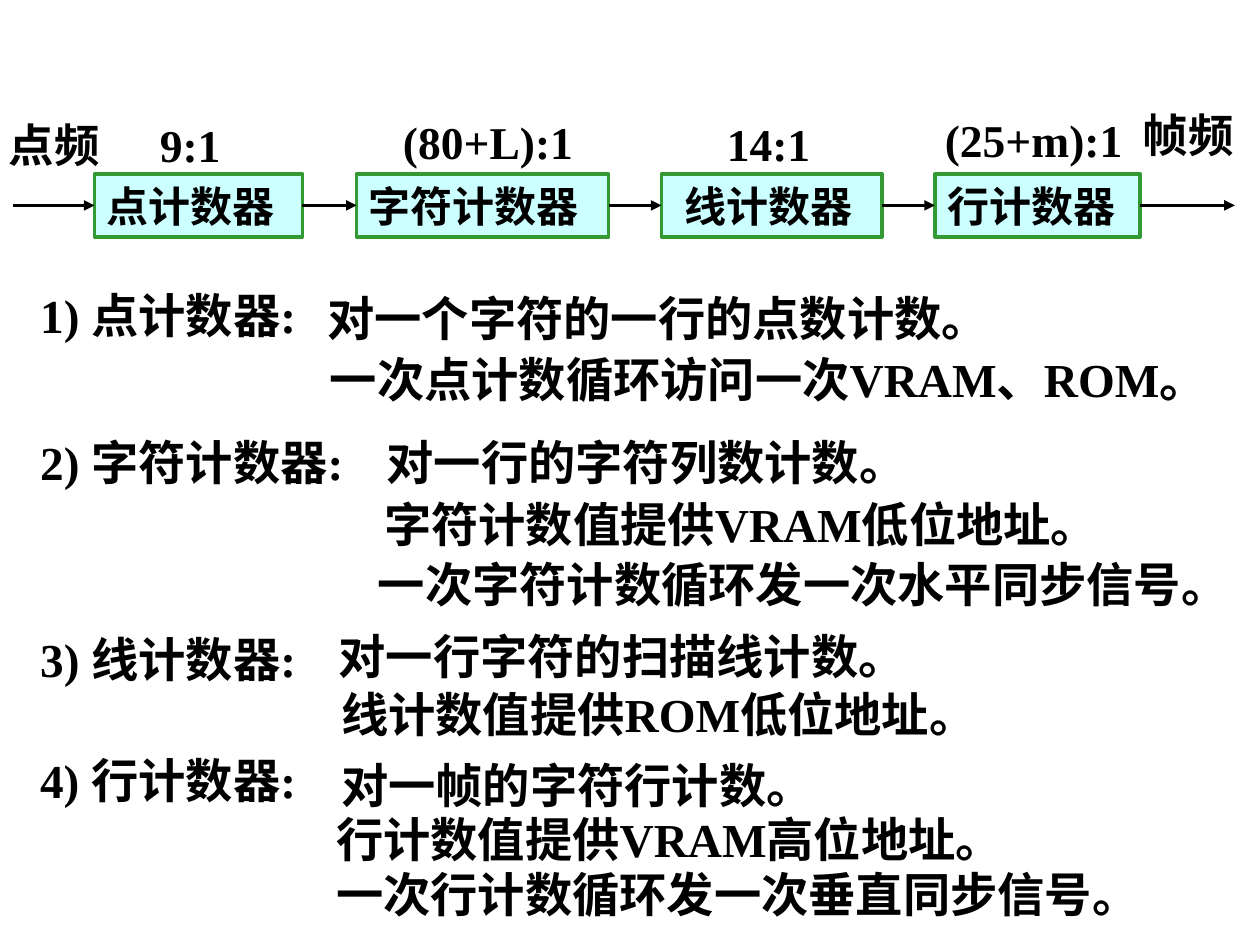
from dataclasses import dataclass

from lxml import etree
from pptx import Presentation
from pptx.dml.color import RGBColor as RGB
from pptx.enum.shapes import MSO_CONNECTOR as CONN, MSO_SHAPE as SHAPE
from pptx.enum.text import MSO_ANCHOR as ANCHOR, PP_ALIGN as ALIGN
from pptx.oxml.ns import qn
from pptx.util import Inches, Pt


@dataclass(frozen=True)
class Theme:
    ink: RGB = RGB(0, 0, 0)
    box_fill: RGB = RGB(0xCC, 0xFF, 0xFF)
    box_line: RGB = RGB(0x33, 0x99, 0x33)
    latin: str = "Times New Roman"
    cjk: str = "Noto Sans CJK SC"
    body: int = 27
    ratio: int = 26
    box: int = 24
    line: int = 2


T = Theme()


def write(sp, text, size=T.body, font=T.latin, indent=0.1):
    tf = sp.text_frame
    tf.word_wrap = True
    tf.vertical_anchor = ANCHOR.TOP
    tf.margin_left = Inches(indent)
    p = tf.paragraphs[0]
    p.alignment = ALIGN.LEFT
    r = p.add_run()
    r.text = text
    r.font.size, r.font.bold, r.font.name = Pt(size), True, font
    r.font.color.rgb = T.ink
    etree.SubElement(r.font._element, qn("a:ea"), typeface=T.cjk)


def arrow(x1, x2, y, start=None, end=None):
    c = s.shapes.add_connector(CONN.STRAIGHT, Inches(x1), Inches(y), Inches(x2), Inches(y))
    if start is not None:
        c.begin_connect(start, 3)
    if end is not None:
        c.end_connect(end, 1)
    c.line.color.rgb = T.ink
    c.line.width = Pt(T.line)
    etree.SubElement(c.line._get_or_add_ln(), qn("a:tailEnd"), type="triangle")
    etree.SubElement(c._element.spPr, qn("a:effectLst"))


prs = Presentation()
prs.slide_width, prs.slide_height = Inches(10), Inches(7.5)
s = prs.slides.add_slide(prs.slide_layouts[6])

# Counter boxes: left, width, text indent, name
BOX_TOP, BOX_H = 1.38, 0.5
counters = [
    (0.75, 1.65, 0.1, "点计数器"),
    (2.83, 2, 0.1, "字符计数器"),
    (5.25, 1.75, 0.18, "线计数器"),
    (7.42, 1.63, 0.1, "行计数器"),
]
boxes = []
for x, w, indent, name in counters:
    sp = s.shapes.add_shape(SHAPE.RECTANGLE, Inches(x), Inches(BOX_TOP), Inches(w), Inches(BOX_H))
    sp.shadow.inherit = False
    sp.fill.solid()
    sp.fill.fore_color.rgb = T.box_fill
    sp.line.color.rgb = T.box_line
    sp.line.width = Pt(T.line)
    write(sp, name, size=T.box, indent=indent)
    boxes.append(sp)

# Arrows into, between and out of the boxes
mid = BOX_TOP + BOX_H / 2
starts = [0.1] + [x + w for x, w, _, _ in counters]
ends = [x for x, _, _, _ in counters] + [9.8]
for x1, x2, start, end in zip(starts, ends, [None] + boxes, boxes + [None]):
    arrow(x1, x2, mid, start, end)

# Frequencies and division ratios above the chain
ratios = [
    (-0.03, 0.88, 1.11, "点频", T.cjk),
    (1.17, 0.88, 1.17, "9:1", T.latin),
    (3.1, 0.86, 1.67, "(80+L):1", T.latin),
    (5.67, 0.87, 1.29, "14:1", T.latin),
    (7.4, 0.84, 1.91, "(25+m):1", T.latin),
    (8.97, 0.8, 1.08, "帧频", T.cjk),
]
for x, y, w, text, font in ratios:
    sp = s.shapes.add_textbox(Inches(x), Inches(y), Inches(w), Inches(0.53))
    write(sp, text, size=T.ratio, font=font)

# Explanations: heading, then its lines, each with left, top, width
notes = [
    (0.22, 2.22, 3.08, "1) 点计数器:"),
    (2.5, 2.25, 6.46, "对一个字符的一行的点数计数。"),
    (2.52, 2.73, 7.62, "一次点计数循环访问一次VRAM、ROM。"),
    (0.22, 3.39, 2.85, "2) 字符计数器:"),
    (2.97, 3.39, 5.13, "对一行的字符列数计数。"),
    (2.95, 3.88, 7.52, "字符计数值提供VRAM低位地址。"),
    (2.9, 4.36, 7.42, "一次字符计数循环发一次水平同步信号。"),
    (0.22, 4.95, 2.45, "3) 线计数器:"),
    (2.59, 4.93, 5.25, "对一行字符的扫描线计数。"),
    (2.61, 5.39, 7.33, "线计数值提供ROM低位地址。"),
    (0.22, 5.91, 2.5, "4) 行计数器:"),
    (2.61, 5.95, 4.99, "对一帧的字符行计数。"),
    (2.57, 6.38, 7.18, "行计数值提供VRAM高位地址。"),
    (2.57, 6.82, 7.11, "一次行计数循环发一次垂直同步信号。"),
]
for x, y, w, text in notes:
    write(s.shapes.add_textbox(Inches(x), Inches(y), Inches(w), Inches(0.55)), text)

prs.save("out.pptx")
